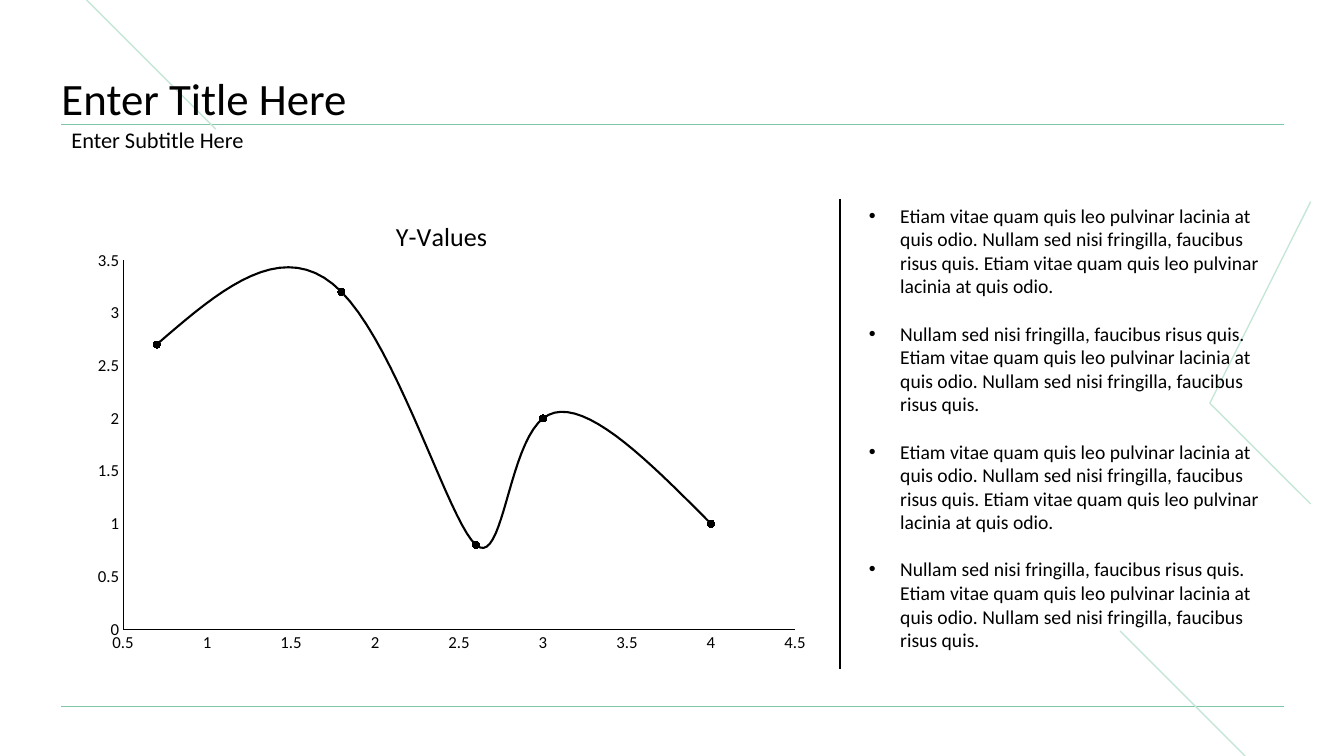
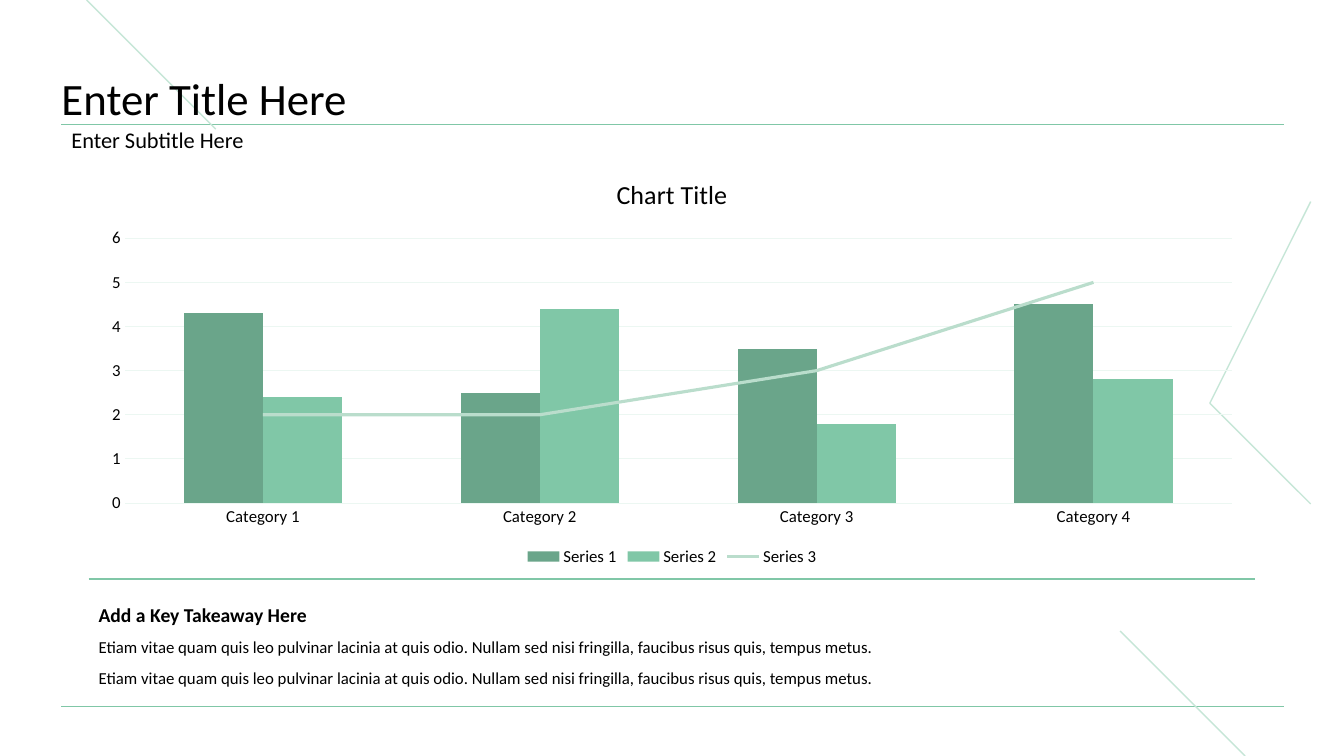
"""Builds two chart slides that share a green line-art frame."""
import dataclasses

import lxml.etree
import pptx
import pptx.chart.data
import pptx.dml.color
import pptx.enum.chart
import pptx.enum.text
import pptx.oxml
import pptx.oxml.ns
import pptx.util

Inches = pptx.util.Inches
Pt = pptx.util.Pt
qn = pptx.oxml.ns.qn
Anchor = pptx.enum.text.MSO_ANCHOR
ChartType = pptx.enum.chart.XL_CHART_TYPE


@dataclasses.dataclass(frozen=True)
class Theme:
    font: str = "Calibri"
    ink: str = "000000"
    accent: str = "80C7A7"
    dark: str = "6AA58A"
    light: str = "BADDCC"
    pale: str = "C6E6D7"
    grid: str = "ECF7F2"
    title: float = 32
    chart_title: float = 18.6
    subtitle: float = 16
    body: float = 14
    small: float = 12


THEME = Theme()
WIDTH, HEIGHT = 13.33, 7.5
LEFT, RIGHT = 0.61, 12.73
CONTENT_WIDTH = RIGHT - LEFT
HEADER_RULE, FOOTER_RULE = 1.23, 7.01
INSET = 0.88
INNER_WIDTH = 11.57

TITLE = "Enter Title Here"
SUBTITLE = "Enter Subtitle Here"
ETIAM = "Etiam vitae quam quis leo pulvinar lacinia at quis odio."
NULLAM = "Nullam sed nisi fringilla, faucibus risus quis."
BULLETS = [f"{ETIAM} {NULLAM} {ETIAM}", f"{NULLAM} {ETIAM} {NULLAM}"] * 2
TAKEAWAY = "Add a Key Takeaway Here"
DETAILS = [f"{ETIAM} Nullam sed nisi fringilla, faucibus risus quis, tempus metus."] * 2

CURVE_NAME = "Y-Values"
CURVE_POINTS = [(0.7, 2.7), (1.8, 3.2), (2.6, 0.8), (3, 2), (4, 1)]
CURVE_PLOT = {"x": 0.081, "y": 0.131, "w": 0.884, "h": 0.784}
COMBO_TITLE = "Chart Title"
CATEGORIES = [f"Category {number}" for number in range(1, 5)]
COMBO_SERIES = [
    ("Series 1", (4.3, 2.5, 3.5, 4.5), THEME.dark),
    ("Series 2", (2.4, 4.4, 1.8, 2.8), THEME.accent),
    ("Series 3", (2, 2, 3, 5), THEME.light),
]


def rgb(color):
    """Turn a hex colour into an RGBColor."""
    return pptx.dml.color.RGBColor.from_string(color)


def style_line(line, color, width):
    """Set a line's colour and width in points."""
    line.color.rgb = rgb(color)
    line.width = Pt(width)


def style_font(font, size, bold=False):
    """Apply the theme's typeface and ink."""
    font.name, font.size, font.bold = THEME.font, Pt(size), bold
    font.color.rgb = rgb(THEME.ink)


def add_bullet(paragraph, indent):
    """Give a paragraph a hanging bullet."""
    properties = paragraph._p.get_or_add_pPr()
    properties.set("marL", str(Inches(indent)))
    properties.set("indent", str(-Inches(indent)))
    lxml.etree.SubElement(properties, qn("a:buFont"), typeface="Arial")
    lxml.etree.SubElement(properties, qn("a:buChar"), char="•")


def write(frame, texts, size, bold=False, spacing=None, gap=0, indent=0, first=True):
    """Write paragraphs with one format into a text frame."""
    for position, text in enumerate(texts):
        starts = first and position == 0
        paragraph = frame.paragraphs[0] if starts else frame.add_paragraph()
        if indent:
            add_bullet(paragraph, indent)
        if spacing:
            paragraph.line_spacing = spacing
        if gap and not starts:
            paragraph.space_before = Pt(gap)
        run = paragraph.add_run()
        run.text = text
        style_font(run.font, size, bold)


def add_frame(slide, left, top, width, height, anchor=Anchor.TOP, margins=True):
    """Add a wrapping text box and return its frame."""
    frame = slide.shapes.add_textbox(*map(Inches, (left, top, width, height))).text_frame
    frame.word_wrap = True
    frame.vertical_anchor = anchor
    if not margins:
        frame.margin_left = frame.margin_right = frame.margin_top = frame.margin_bottom = 0
    return frame


def add_rule(slide, start, end, color, width):
    """Draw a straight line without a shadow."""
    connector = slide.shapes.add_connector(
        pptx.enum.shapes.MSO_CONNECTOR.STRAIGHT, *map(Inches, (*start, *end)))
    style_line(connector.line, color, width)
    lxml.etree.SubElement(connector._element.spPr, qn("a:effectLst"))


def add_base(presentation):
    """Add a slide with the shared line art, title and subtitle."""
    slide = presentation.slides.add_slide(presentation.slide_layouts[6])
    for y in (FOOTER_RULE, HEADER_RULE):
        add_rule(slide, (LEFT, y), (RIGHT, y), THEME.accent, 0.5)
    for x, y, run in ((11.11, 6.26, HEIGHT - 6.26), (0.86, 0, 1.28)):
        add_rule(slide, (x, y), (x + run, y + run), THEME.pale, 1)

    middle, reach = HEIGHT / 2, 1.28
    builder = slide.shapes.build_freeform(WIDTH, middle - reach, scale=Inches(1))
    builder.add_line_segments(
        [(WIDTH - reach, middle), (WIDTH, middle + reach)], close=False)
    chevron = builder.convert_to_shape()
    chevron.shadow.inherit = False
    chevron.fill.background()
    style_line(chevron.line, THEME.pale, 1)

    frame = add_frame(slide, LEFT, 0.44, CONTENT_WIDTH, 0.8, Anchor.BOTTOM, margins=False)
    write(frame, [TITLE], THEME.title, spacing=0.9)
    frame = add_frame(slide, LEFT, HEADER_RULE, CONTENT_WIDTH, 0.34, Anchor.MIDDLE)
    write(frame, [SUBTITLE], THEME.subtitle, spacing=0.9)
    return slide


def add_chart(slide, kind, box, data, title):
    """Add a chart with the shared title and axis style."""
    chart = slide.shapes.add_chart(kind, *map(Inches, box), data).chart
    style_font(chart.font, 10)
    chart.has_title = True
    write(chart.chart_title.text_frame, [title], THEME.chart_title)
    chart.has_legend = False
    chart.plots[0].vary_by_categories = False
    for axis in (chart.category_axis, chart.value_axis):
        axis.has_major_gridlines = False
        axis.major_tick_mark = axis.minor_tick_mark = pptx.enum.chart.XL_TICK_MARK.NONE
        style_font(axis.tick_labels.font, THEME.small)
    return chart


def set_plot_layout(chart, shares):
    """Place the inner plot area by shares of the chart."""
    area = chart._chartSpace.chart.plotArea
    for layout in area.findall(qn("c:layout")):
        area.remove(layout)
    layout = lxml.etree.Element(qn("c:layout"))
    manual = lxml.etree.SubElement(layout, qn("c:manualLayout"))
    settings = {"layoutTarget": "inner", "xMode": "edge", "yMode": "edge", **shares}
    for name, value in settings.items():
        lxml.etree.SubElement(manual, qn(f"c:{name}"), val=str(value))
    area.insert(0, layout)


def move_last_series_to_line(chart):
    """Turn the last column series into a line on the same axes."""
    columns = chart._chartSpace.chart.plotArea.find(qn("c:barChart"))
    series = columns.findall(qn("c:ser"))[-1]
    for invert in series.findall(qn("c:invertIfNegative")):
        series.remove(invert)
    lines = pptx.oxml.parse_xml(
        f'<c:lineChart xmlns:c="{pptx.oxml.ns.nsdecls("c").split(chr(34))[1]}">'
        '<c:grouping val="standard"/><c:varyColors val="0"/></c:lineChart>')
    lines.append(series)
    lxml.etree.SubElement(lines, qn("c:marker"), val="1")
    for axis in columns.findall(qn("c:axId")):
        lxml.etree.SubElement(lines, qn("c:axId"), val=axis.get("val"))
    columns.addnext(lines)


def build_curve_slide(presentation):
    """Build the smooth curve beside a bulleted list."""
    slide = add_base(presentation)
    top, height, divider = 1.97, 4.67, 8.33
    data = pptx.chart.data.XyChartData()
    points = data.add_series(CURVE_NAME)
    for x, y in CURVE_POINTS:
        points.add_data_point(x, y)
    chart = add_chart(slide, ChartType.XY_SCATTER_SMOOTH,
                      (LEFT, top, 7.54, height), data, CURVE_NAME)
    set_plot_layout(chart, CURVE_PLOT)
    for axis, low, high in ((chart.category_axis, 0.5, 4.5), (chart.value_axis, 0, 3.5)):
        axis.minimum_scale, axis.maximum_scale, axis.major_unit = low, high, 0.5
        axis.tick_labels.number_format = "General"
        axis.tick_labels.number_format_is_linked = False
        style_line(axis.format.line, THEME.ink, 0.75)
    series = chart.plots[0].series[0]
    series._element.get_or_add_smooth().val = True
    style_line(series.format.line, THEME.ink, 1.5)
    series.marker.style = pptx.enum.chart.XL_MARKER_STYLE.CIRCLE
    series.marker.size = 5
    series.marker.format.fill.solid()
    series.marker.format.fill.fore_color.rgb = rgb(THEME.ink)
    style_line(series.marker.format.line, THEME.ink, 0.75)

    add_rule(slide, (divider, top), (divider, top + height), THEME.ink, 1.5)
    frame = add_frame(slide, 8.52, top, RIGHT - 8.52, 4.81)
    write(frame, BULLETS, THEME.body, gap=17, indent=0.31)


def build_combo_slide(presentation):
    """Build the column and line chart above a takeaway."""
    slide = add_base(presentation)
    data = pptx.chart.data.CategoryChartData()
    data.categories = CATEGORIES
    for name, values, _ in COMBO_SERIES:
        data.add_series(name, values)
    chart = add_chart(slide, ChartType.COLUMN_CLUSTERED,
                      (INSET, 1.57, INNER_WIDTH, 4.09), data, COMBO_TITLE)
    move_last_series_to_line(chart)
    columns, lines = chart.plots
    columns.gap_width, columns.overlap = 150, 0
    for series, (_, _, color) in zip(columns.series, COMBO_SERIES):
        series.format.fill.solid()
        series.format.fill.fore_color.rgb = rgb(color)
    trend = lines.series[0]
    trend.smooth = False
    trend.marker.style = pptx.enum.chart.XL_MARKER_STYLE.NONE
    style_line(trend.format.line, COMBO_SERIES[-1][2], 2.25)
    for axis in (chart.category_axis, chart.value_axis):
        axis.format.line.fill.background()
    chart.value_axis.has_major_gridlines = True
    style_line(chart.value_axis.major_gridlines.format.line, THEME.grid, 0.75)
    chart.has_legend = True
    chart.legend.position = pptx.enum.chart.XL_LEGEND_POSITION.BOTTOM
    chart.legend.include_in_layout = False
    style_font(chart.legend.font, THEME.small)

    add_rule(slide, (INSET, 5.74), (INSET + INNER_WIDTH, 5.74), THEME.accent, 1.5)
    frame = add_frame(slide, INSET, 5.82, INNER_WIDTH, 0.98)
    write(frame, [TAKEAWAY], THEME.body, bold=True, spacing=1.5)
    write(frame, DETAILS, THEME.small, spacing=1.5, first=False)


def main():
    """Create the presentation and save it."""
    presentation = pptx.Presentation()
    presentation.slide_width = Inches(WIDTH)
    presentation.slide_height = Inches(HEIGHT)
    build_curve_slide(presentation)
    build_combo_slide(presentation)
    presentation.save("out.pptx")


if __name__ == "__main__":
    main()
